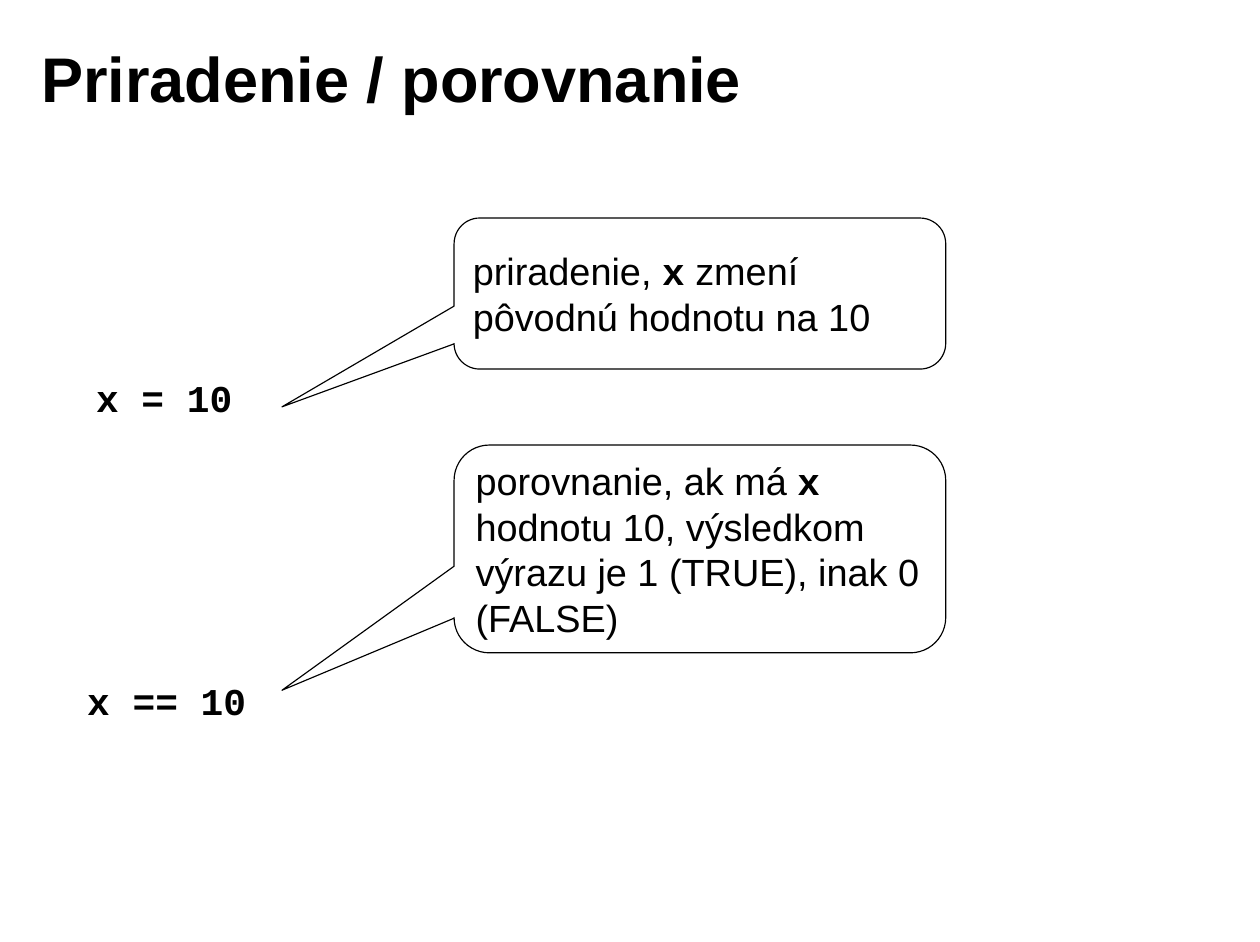
from dataclasses import dataclass

import pptx
import pptx.dml.color
import pptx.enum.shapes
import pptx.enum.text
import pptx.util
from pptx.util import Cm


@dataclass(frozen=True)
class Theme:
    ink: pptx.dml.color.RGBColor = pptx.dml.color.RGBColor(0, 0, 0)
    paper: pptx.dml.color.RGBColor = pptx.dml.color.RGBColor(255, 255, 255)
    prose_font: str = "Arial"
    code_font: str = "Courier New"
    title_size: pptx.util.Pt = pptx.util.Pt(40)
    body_size: pptx.util.Pt = pptx.util.Pt(24)
    outline: pptx.util.Pt = pptx.util.Pt(0.75)


@dataclass(frozen=True)
class Piece:
    text: str
    font: str
    bold: bool = False


@dataclass(frozen=True)
class Expression:
    code: str
    left: float
    top: float
    width: float


@dataclass(frozen=True)
class Explanation:
    before: str
    variable: str
    after: str
    top: float
    height: float
    tip_y: float


THEME = Theme()
MIDDLE = pptx.enum.text.MSO_ANCHOR.MIDDLE
CALLOUT_LEFT, CALLOUT_WIDTH = 10.16, 11
TIP_X, CORNER = -0.85, 0.17

TITLE_FRAME = {
    "word_wrap": True,
    "vertical_anchor": MIDDLE,
    "margin_left": Cm(0.28),
    "margin_right": Cm(0.28),
    "margin_top": Cm(0.15),
    "margin_bottom": Cm(0.15),
}
BODY_MARGINS = {
    "margin_left": Cm(0.25),
    "margin_right": Cm(0.25),
    "margin_top": Cm(0.13),
    "margin_bottom": Cm(0.13),
}
EXPRESSION_FRAME = BODY_MARGINS | {
    "word_wrap": False,
    "auto_size": pptx.enum.text.MSO_AUTO_SIZE.SHAPE_TO_FIT_TEXT,
}
CALLOUT_FRAME = BODY_MARGINS | {"word_wrap": True, "vertical_anchor": MIDDLE}

EXPRESSIONS = [
    Expression("x = 10", 1.9, 8.26, 3.56),
    Expression("x == 10", 1.7, 15.04, 4.06),
]
EXPLANATIONS = [
    Explanation("priradenie, ", "x", " zmení pôvodnú hodnotu na 10",
                4.88, 3.38, 0.75),
    Explanation("porovnanie, ak má ", "x",
                " hodnotu 10, výsledkom výrazu je 1 (TRUE), inak 0 (FALSE)",
                9.96, 4.65, 0.68),
]


def apply(target: object, formats: dict[str, object]) -> None:
    for attribute, value in formats.items():
        setattr(target, attribute, value)


def write(frame, pieces: list[Piece], size: int, formats: dict[str, object]) -> None:
    apply(frame, formats)
    paragraph = frame.paragraphs[0]
    paragraph.alignment = pptx.enum.text.PP_ALIGN.LEFT
    for piece in pieces:
        run = paragraph.add_run()
        run.text = piece.text
        apply(run.font, {"name": piece.font, "size": size, "bold": piece.bold})
        run.font.color.rgb = THEME.ink


def add_title(slide) -> None:
    title = slide.shapes.add_textbox(Cm(0.64), Cm(0.43), Cm(22.66), Cm(2.59))
    heading = Piece("Priradenie / porovnanie", THEME.prose_font, True)
    write(title.text_frame, [heading], THEME.title_size, TITLE_FRAME)


def add_expression(slide, expression: Expression) -> None:
    box = slide.shapes.add_textbox(Cm(expression.left), Cm(expression.top),
                                   Cm(expression.width), Cm(1.27))
    code = Piece(expression.code, THEME.code_font, True)
    write(box.text_frame, [code], THEME.body_size, EXPRESSION_FRAME)


def add_explanation(slide, explanation: Explanation) -> None:
    callout = slide.shapes.add_shape(
        pptx.enum.shapes.MSO_SHAPE.ROUNDED_RECTANGULAR_CALLOUT,
        Cm(CALLOUT_LEFT), Cm(explanation.top),
        Cm(CALLOUT_WIDTH), Cm(explanation.height))
    for index, value in enumerate((TIP_X, explanation.tip_y, CORNER)):
        callout.adjustments[index] = value
    callout.shadow.inherit = False
    callout.fill.solid()
    callout.fill.fore_color.rgb = THEME.paper
    callout.line.color.rgb = THEME.ink
    callout.line.width = THEME.outline
    pieces = [
        Piece(explanation.before, THEME.prose_font),
        Piece(explanation.variable, THEME.code_font, True),
        Piece(explanation.after, THEME.prose_font),
    ]
    write(callout.text_frame, pieces, THEME.body_size, CALLOUT_FRAME)


def main() -> None:
    presentation = pptx.Presentation()
    apply(presentation, {"slide_width": Cm(28.19), "slide_height": Cm(21.08)})
    slide = presentation.slides.add_slide(presentation.slide_layouts[6])
    add_title(slide)
    for expression in EXPRESSIONS:
        add_expression(slide, expression)
    for explanation in EXPLANATIONS:
        add_explanation(slide, explanation)
    presentation.save("out.pptx")


if __name__ == "__main__":
    main()
